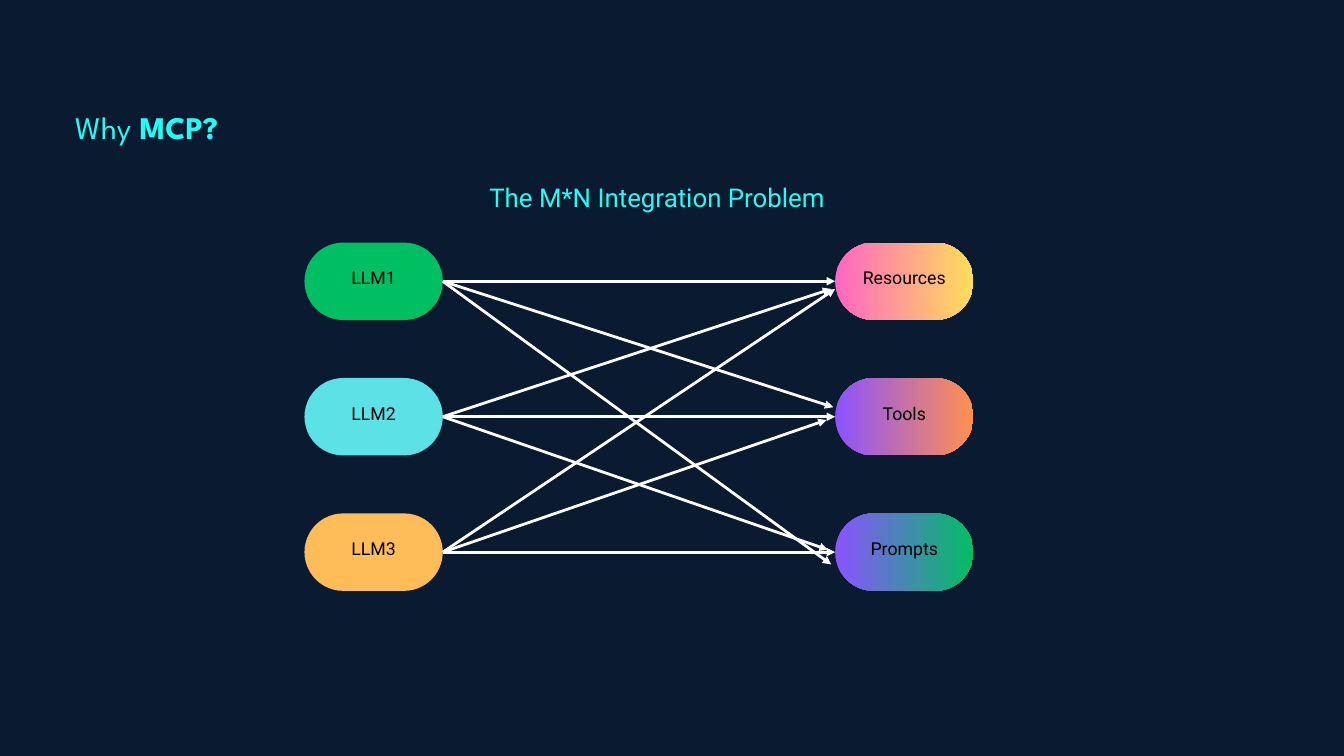
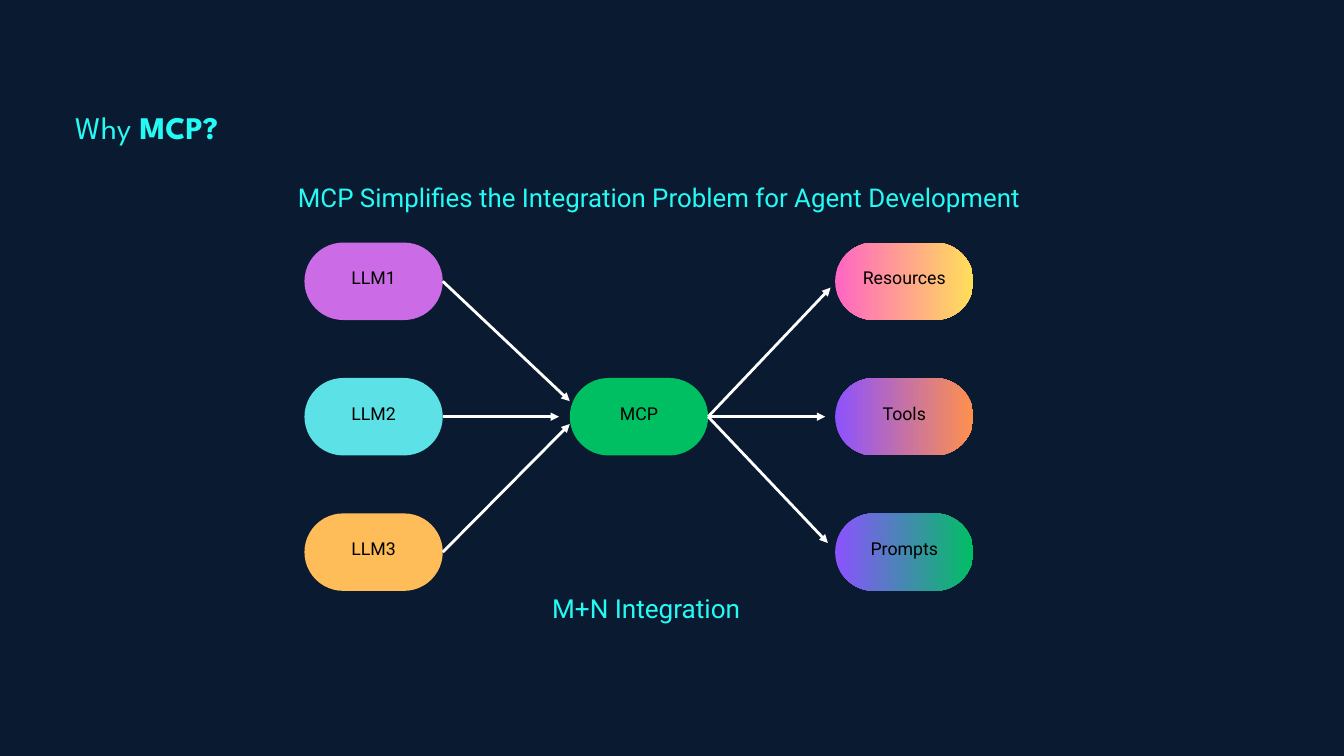
from dataclasses import dataclass

from lxml.etree import SubElement
from pptx import Presentation
from pptx.dml.color import RGBColor as Rgb
from pptx.enum.shapes import MSO_CONNECTOR as Line, MSO_SHAPE as Form
from pptx.enum.text import MSO_ANCHOR as Anchor, MSO_AUTO_SIZE as Fit, PP_ALIGN as Align
from pptx.oxml.ns import qn
from pptx.slide import Slide
from pptx.text.text import TextFrame
from pptx.util import Pt

HEX = {
    "navy": "0A1A30", "aqua": "25FBF5", "white": "FFFFFF", "black": "000000",
    "green": "00BF63", "cyan": "5CE1E6", "amber": "FFBD59", "orchid": "CB6CE6",
    "pink": "FF66C4", "yellow": "FFDE59", "violet": "8C52FF", "orange": "FF914D",
}
WIDE, HIGH = 148.2, 83
LEFT, TOP = 326.2, 259.9
COL, ROW = 284.3, 145.1


@dataclass(frozen=True)
class Pill:
    name: str
    col: int
    row: int
    fill: tuple[str, ...]

    @property
    def x(self) -> float:
        return LEFT + self.col * COL

    @property
    def y(self) -> float:
        return TOP + self.row * ROW


@dataclass(frozen=True)
class Link:
    start: Pill
    x: float
    y: float


@dataclass(frozen=True)
class Label:
    text: str
    x: float
    y: float
    wide: float
    size: float = 27.7
    lead: float = 38.8


@dataclass(frozen=True)
class Page:
    pills: list[Pill]
    links: list[Link]
    labels: list[Label]


def tint(name: str) -> Rgb:
    return Rgb.from_string(HEX[name])


def write(frame: TextFrame, text: str, *, size: float, lead: float, strong: str = "",
          font: str = "Roboto", color: str = "aqua", align: Align = Align.CENTER,
          anchor: Anchor = Anchor.TOP, fit: Fit = Fit.SHAPE_TO_FIT_TEXT,
          inset: float = 0, lift: float = 0) -> None:
    frame.word_wrap = True
    frame.auto_size = fit
    frame.vertical_anchor = anchor
    frame.margin_left = frame.margin_right = frame.margin_top = Pt(inset)
    frame.margin_bottom = Pt(inset + lift)
    para = frame.paragraphs[0]
    para.alignment = align
    para.line_spacing = Pt(lead)
    for part, bold in ((text, False), (strong, True)):
        if part:
            run = para.add_run()
            run.text = part
            run.font.name = font
            run.font.size = Pt(size)
            run.font.bold = bold
            run.font.color.rgb = tint(color)


def head(slide: Slide) -> None:
    title = slide.shapes.title
    title.left, title.top, title.width, title.height = map(Pt, (80.6, 109.4, 190.8, 45.4))
    write(title.text_frame, "Why", strong=" MCP?", size=33.7, lead=47.2,
          font="League Spartan", align=Align.LEFT)


def draw_pill(slide: Slide, pill: Pill) -> None:
    shape = slide.shapes.add_shape(Form.ROUNDED_RECTANGLE, Pt(pill.x), Pt(pill.y),
                                   Pt(WIDE), Pt(HIGH))
    shape.adjustments[0] = 0.5
    shape.shadow.inherit = False
    shape.line.fill.background()
    if len(pill.fill) == 1:
        shape.fill.solid()
        shape.fill.fore_color.rgb = tint(pill.fill[0])
    else:
        shape.fill.gradient()
        shape.fill.gradient_angle = 0
        for stop, name, at in zip(shape.fill.gradient_stops, pill.fill, (0, 1)):
            stop.color.rgb = tint(name)
            stop.position = at
    write(shape.text_frame, pill.name, size=19, lead=26.6, color="black",
          anchor=Anchor.MIDDLE, fit=Fit.NONE, inset=4, lift=11.2)


def draw_link(slide: Slide, link: Link) -> None:
    start = link.start
    arrow = slide.shapes.add_connector(Line.STRAIGHT, Pt(start.x + WIDE),
                                       Pt(start.y + HIGH / 2), Pt(link.x), Pt(link.y))
    arrow.line.color.rgb = tint("white")
    arrow.line.width = Pt(3)
    props = arrow.element.spPr
    SubElement(props.find(qn("a:ln")), qn("a:tailEnd"), type="triangle")
    SubElement(props, qn("a:effectLst"))


def draw_label(slide: Slide, label: Label) -> None:
    box = slide.shapes.add_textbox(Pt(label.x), Pt(label.y), Pt(label.wide), Pt(label.lead))
    write(box.text_frame, label.text, size=label.size, lead=label.lead)


def models(*fills: str) -> list[Pill]:
    return [Pill(f"LLM{row + 1}", 0, row, (fill,)) for row, fill in enumerate(fills)]


def fan(start: Pill, *ends: tuple[float, float]) -> list[Link]:
    return [Link(start, x, y) for x, y in ends]


def main() -> None:
    deck = Presentation()
    deck.slide_width, deck.slide_height = Pt(1440), Pt(810)
    back = deck.slide_master.background.fill
    back.solid()
    back.fore_color.rgb = tint("navy")

    goals = [
        Pill("Resources", 2, 0, ("pink", "yellow")),
        Pill("Tools", 2, 1, ("violet", "orange")),
        Pill("Prompts", 2, 2, ("violet", "green")),
    ]
    many = models("green", "cyan", "amber")
    few = models("orchid", "cyan", "amber")
    hub = Pill("MCP", 1, 1, ("green",))
    pages = [
        Page(
            many + goals,
            fan(many[0], (894.8, 301.4), (892.8, 436.3), (890.6, 604.8))
            + fan(many[1], (890.6, 309.6), (894.8, 446.5), (887, 589))
            + fan(many[2], (894.8, 309.6), (885.6, 450), (894.8, 591.6)),
            [Label("The M*N Integration Problem", 382.3, 189.4, 643.7)],
        ),
        Page(
            few + goals + [hub],
            fan(few[0], (610.5, 429.8)) + fan(few[1], (599, 446.5))
            + fan(few[2], (610.5, 454.3))
            + fan(hub, (889.9, 308.2), (884.2, 446.5), (887, 581.8)),
            [Label("MCP Simplifies the Integration Problem for Agent Development",
                   254.2, 189.4, 904.3),
             Label("M+N Integration", 568.1, 628.6, 248.4, 28, 39.2)],
        ),
    ]
    for page in pages:
        slide = deck.slides.add_slide(deck.slide_layouts[5])
        head(slide)
        for pill in page.pills:
            draw_pill(slide, pill)
        for link in page.links:
            draw_link(slide, link)
        for label in page.labels:
            draw_label(slide, label)
    deck.save("out.pptx")


if __name__ == "__main__":
    main()
